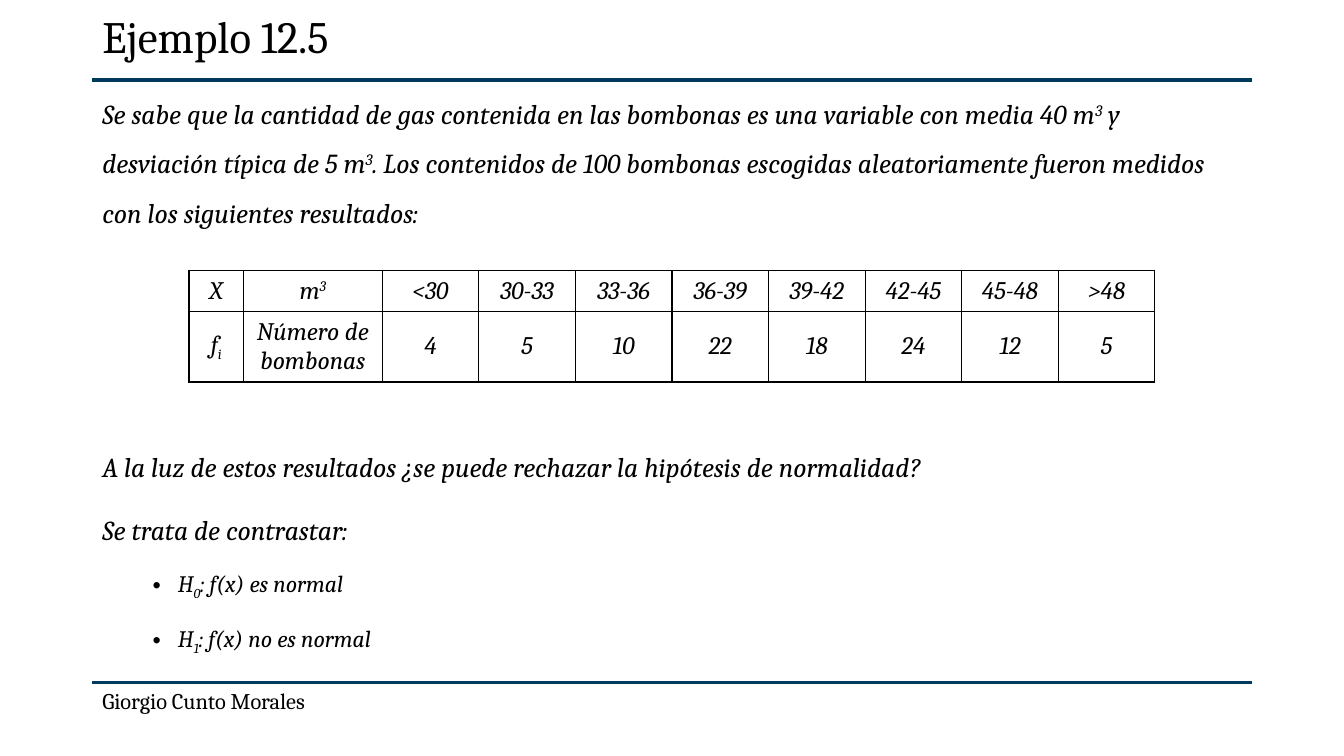
import pptx
import pptx.util
import pptx.dml.color
import pptx.enum.shapes
import pptx.enum.text
from dataclasses import dataclass
from lxml import etree

Pt = pptx.util.Pt
RGB = pptx.dml.color.RGBColor
MIDDLE = pptx.enum.text.MSO_ANCHOR.MIDDLE
CENTER = pptx.enum.text.PP_ALIGN.CENTER
SUPER, SUB = 30000, -25000


@dataclass(frozen=True)
class Theme:
    font: str = "Cambria"
    ink: RGB = RGB(0, 0, 0)
    rule: RGB = RGB(0x00, 0x3A, 0x5D)
    title: float = 32
    body: float = 19.6
    bullet: float = 16.8
    table: float = 18
    footer: float = 16


T = Theme()

STATEMENT = [
    ("Se sabe que la cantidad de gas contenida en las bombonas es una variable con media 40 m", 0),
    ("3", SUPER),
    (" y desviación típica de 5 m", 0),
    ("3", SUPER),
    (". Los contenidos de 100 bombonas escogidas aleatoriamente fueron medidos "
     "con los siguientes resultados:", 0),
]
QUESTION = [("A la luz de estos resultados ¿se puede rechazar la hipótesis de normalidad?", 0)]
CONTRAST = [("Se trata de contrastar:", 0)]
HYPOTHESES = [
    [("H", 0), ("0", SUB), (": f(x) es normal", 0)],
    [("H", 0), ("1", SUB), (": f(x) no es normal", 0)],
]
INTERVALS = ["<30", "30-33", "33-36", "36-39", "39-42", "42-45", "45-48", ">48"]
COUNTS = [4, 5, 10, 22, 18, 24, 12, 5]
ROWS = [
    [[("X", 0)], [("m", 0), ("3", SUPER)]] + [[(x, 0)] for x in INTERVALS],
    [[("f", 0), ("i", SUB)], [("Número de bombonas", 0)]] + [[(str(n), 0)] for n in COUNTS],
]


def add_runs(p, runs, size, italic=True):
    for text, baseline in runs:
        r = p.add_run()
        r.text = text
        r.font.name, r.font.size = T.font, Pt(size)
        r.font.italic = italic
        r.font.color.rgb = T.ink
        if baseline:
            r.font._element.set("baseline", str(baseline))


def add_text(s, x, y, w, h):
    tf = s.shapes.add_textbox(Pt(x), Pt(y), Pt(w), Pt(h)).text_frame
    tf.word_wrap = True
    return tf


def add_rule(s, x, y, w, weight):
    line = s.shapes.add_connector(
        pptx.enum.shapes.MSO_CONNECTOR.STRAIGHT, Pt(x), Pt(y), Pt(x + w), Pt(y))
    line.line.color.rgb, line.line.width = T.rule, Pt(weight)
    etree.SubElement(line._element.spPr, pptx.oxml.ns.qn("a:effectLst"))


def add_bullet(p):
    pPr = p._p.get_or_add_pPr()
    pPr.set("marL", str(Pt(54)))
    pPr.set("indent", str(Pt(-18)))
    for tag, key, value in (("a:buFont", "typeface", "Arial"), ("a:buChar", "char", "•")):
        etree.SubElement(pPr, pptx.oxml.ns.qn(tag)).set(key, value)


def header(s, x, y, w, h):
    tf = add_text(s, x, y, w, h - 3)
    tf.vertical_anchor = MIDDLE
    tf.paragraphs[0].line_spacing = 0.9
    add_runs(tf.paragraphs[0], [("Ejemplo 12.5", 0)], T.title, False)
    add_rule(s, x, y + h, w, 3)


def statement(s, x, y, w, h):
    tf = add_text(s, x, y, w, h)
    tf.paragraphs[0].line_spacing = 1.5
    add_runs(tf.paragraphs[0], STATEMENT, T.body)


def questions(s, x, y, w, h):
    tf = add_text(s, x, y, w, h)
    lines = [(QUESTION, T.body, 0), (CONTRAST, T.body, 10)]
    lines += [(runs, T.bullet, 5) for runs in HYPOTHESES]
    for i, (runs, size, before) in enumerate(lines):
        p = tf.add_paragraph() if i else tf.paragraphs[0]
        p.line_spacing, p.space_before = 1.5, Pt(before)
        if size == T.bullet:
            add_bullet(p)
        add_runs(p, runs, size)


def border_cell(cell):
    tcPr = cell._tc.get_or_add_tcPr()
    for i, side in enumerate(("lnL", "lnR", "lnT", "lnB")):
        ln = etree.Element(pptx.oxml.ns.qn(f"a:{side}"), w=str(Pt(1)))
        fill = etree.SubElement(ln, pptx.oxml.ns.qn("a:solidFill"))
        etree.SubElement(fill, pptx.oxml.ns.qn("a:srgbClr")).set("val", str(T.ink))
        tcPr.insert(i, ln)


def frequency_table(s, x, y, w, h):
    head_w, label_w, head_h = 39, 99, 29.5
    value_w = (w - head_w - label_w) / len(COUNTS)
    table = s.shapes.add_table(
        len(ROWS), len(ROWS[0]), Pt(x), Pt(y), Pt(w), Pt(h)).table
    table.first_row = table.horz_banding = False
    for col, width in zip(table.columns, [head_w, label_w] + [value_w] * len(COUNTS)):
        col.width = Pt(width)
    for row, height in zip(table.rows, (head_h, h - head_h)):
        row.height = Pt(height)
    for i, row in enumerate(ROWS):
        for j, runs in enumerate(row):
            cell = table.cell(i, j)
            cell.fill.background()
            border_cell(cell)
            cell.vertical_anchor = MIDDLE
            p = cell.text_frame.paragraphs[0]
            p.alignment = CENTER
            add_runs(p, runs, T.table)


def footer(s, x, y, w, h):
    add_rule(s, x, y, w, 1.5)
    tf = add_text(s, x, y, w, h)
    add_runs(tf.paragraphs[0], [("Giorgio Cunto Morales", 0)], T.footer, False)


def main():
    prs = pptx.Presentation()
    prs.slide_width, prs.slide_height = Pt(960), Pt(540)
    s = prs.slides.add_slide(prs.slide_layouts[6])
    left, width = 66, 828
    header(s, left, 1.5, width, 55.5)
    statement(s, left, 54, width, 120)
    frequency_table(s, 135, 193, 690, 78)
    questions(s, left, 306, width, 180)
    footer(s, left, 487.5, width, 26.5)
    prs.save("out.pptx")


if __name__ == "__main__":
    main()
